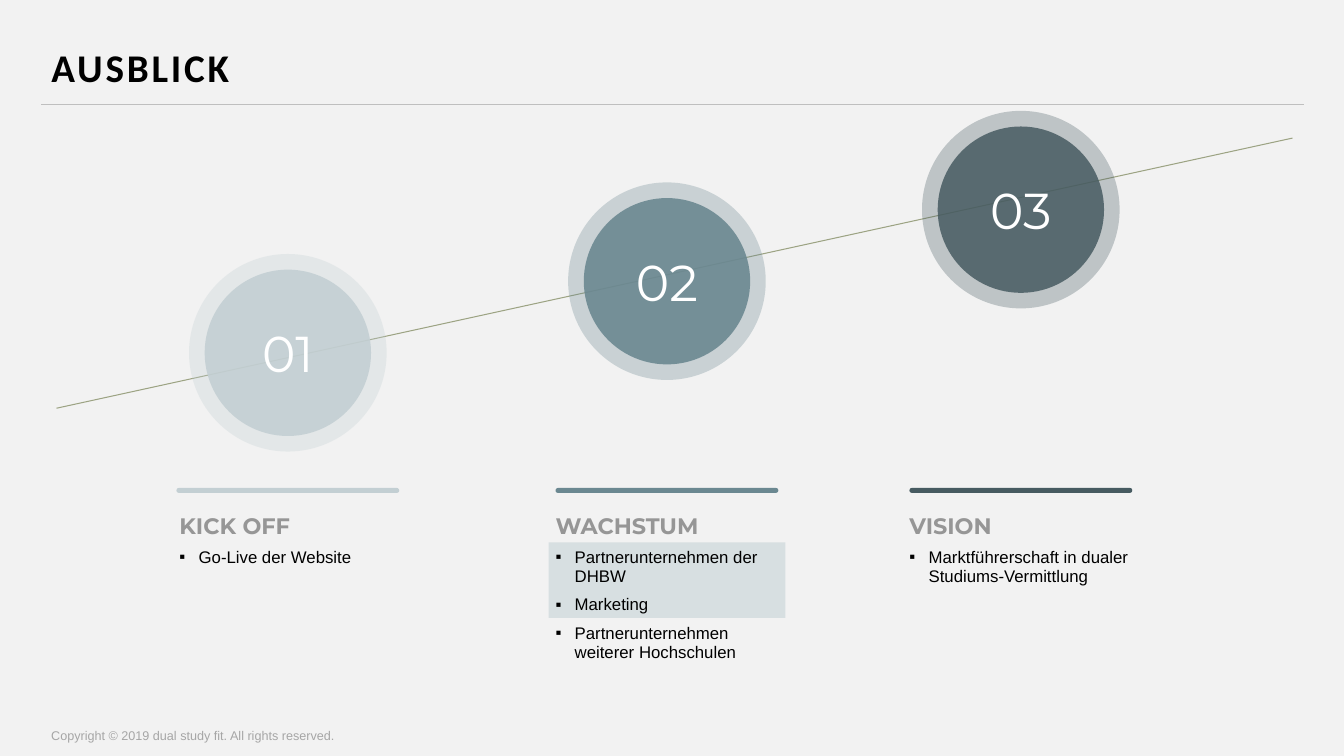
"""Builds the outlook slide with three rising milestones."""
import pptx
import pptx.dml.color
import pptx.enum.shapes
import pptx.enum.text
import pptx.oxml.ns
import pptx.util
from lxml import etree
from pptx.util import Inches

TITLE = "AUSBLICK"
COPYRIGHT = "Copyright © 2019 dual study fit. All rights reserved."
MILESTONES = [
    {"number": "01", "heading": "KICK OFF", "points": ["Go-Live der Website"],
     "color": "mist", "opacity": 90, "left": 1.75, "list_left": 1.78, "list_width": 2.28},
    {"number": "02", "heading": "WACHSTUM",
     "points": ["Partnerunternehmen der DHBW", "Marketing", "Partnerunternehmen weiterer Hochschulen"],
     "color": "teal", "opacity": 90, "left": 5.51, "list_left": 5.51, "list_width": 2.28},
    {"number": "03", "heading": "VISION", "points": ["Marktführerschaft in dualer Studiums-Vermittlung"],
     "color": "slate", "opacity": 85, "left": 9.02, "list_left": 9.02, "list_width": 2.21},
]
COLORS = {
    "background": "F2F2F2", "rule": "BFBFBF", "path": "9CA383", "highlight": "D7DFE1",
    "mist": "C3CFD3", "teal": "6B8891", "slate": "475B61",
    "black": "000000", "white": "FFFFFF", "heading": "969696", "footer": "A6A6A6",
}
BAR_TOP, BAR_WIDTH, BAR_HEIGHT = 4.84, 2.21, 0.05
RING_TOP, RING_RISE, RING_SIZE, DISC_SIZE = 2.52, 0.71, 1.96, 1.65
LIST_TOP, LIST_HEIGHT, BULLET_INDENT = 5.15, 1.75, 0.19

SHAPES = pptx.enum.shapes.MSO_SHAPE
ALIGN = pptx.enum.text.PP_ALIGN
ANCHOR = pptx.enum.text.MSO_ANCHOR


def rgb(name):
    """Return the named colour."""
    return pptx.dml.color.RGBColor.from_string(COLORS[name])


def write(paragraph, text, size, color, font="Arial", bold=False, align=ALIGN.LEFT, tracking=None):
    """Put formatted text into a paragraph."""
    paragraph.alignment = align
    run = paragraph.add_run()
    run.text = text
    run.font.size = pptx.util.Pt(size)
    run.font.name = font
    run.font.bold = bold
    run.font.color.rgb = rgb(color)
    if tracking:
        run.font._element.set("spc", str(tracking * 100))


def set_frame(frame, anchor, margins=(0.1, 0.05)):
    """Set wrapping, anchor and margins of a text frame."""
    frame.word_wrap = True
    frame.auto_size = pptx.enum.text.MSO_AUTO_SIZE.NONE
    frame.vertical_anchor = anchor
    frame.margin_left = frame.margin_right = Inches(margins[0])
    frame.margin_top = frame.margin_bottom = Inches(margins[1])


def place(shape, left, top, width, height):
    """Move and size a shape, in inches."""
    shape.left, shape.top = Inches(left), Inches(top)
    shape.width, shape.height = Inches(width), Inches(height)


def add_filled(slide, preset, box, color, opacity=100):
    """Add a borderless filled shape."""
    shape = slide.shapes.add_shape(preset, *map(Inches, box))
    shape.shadow.inherit = False
    shape.fill.solid()
    shape.fill.fore_color.rgb = rgb(color)
    shape.line.fill.background()
    if opacity < 100:
        tint = shape._element.spPr.find(".//" + pptx.oxml.ns.qn("a:srgbClr"))
        etree.SubElement(tint, pptx.oxml.ns.qn("a:alpha"), val=str(opacity * 1000))
    return shape


def add_line(slide, start, end, color):
    """Add a thin straight line."""
    line = slide.shapes.add_connector(
        pptx.enum.shapes.MSO_CONNECTOR.STRAIGHT, *map(Inches, start + end))
    line.line.color.rgb = rgb(color)
    line.line.width = pptx.util.Pt(0.75)
    etree.SubElement(line._element.spPr, pptx.oxml.ns.qn("a:effectLst"))


def set_bullet(paragraph, indent, char=None):
    """Set the indent and bullet of a paragraph."""
    properties = paragraph._p.get_or_add_pPr()
    properties.set("marL", str(Inches(indent)))
    properties.set("indent", str(-Inches(indent)))
    if char:
        etree.SubElement(properties, pptx.oxml.ns.qn("a:buFont"), typeface="Arial")
        etree.SubElement(properties, pptx.oxml.ns.qn("a:buChar"), char=char)
    else:
        etree.SubElement(properties, pptx.oxml.ns.qn("a:buNone"))


def fill_list(body, milestone):
    """Write a milestone's heading and points into a body placeholder."""
    place(body, milestone["list_left"], LIST_TOP, milestone["list_width"], LIST_HEIGHT)
    frame = body.text_frame
    set_frame(frame, ANCHOR.TOP, (0, 0))
    for index, text in enumerate([milestone["heading"]] + milestone["points"]):
        paragraph = frame.add_paragraph() if index else frame.paragraphs[0]
        paragraph.line_spacing = pptx.util.Pt(14)
        paragraph.space_before = pptx.util.Pt(3 if index else 0)
        paragraph.space_after = pptx.util.Pt(3)
        if index:
            set_bullet(paragraph, BULLET_INDENT, "▪")
            write(paragraph, text, 12, "black")
        else:
            set_bullet(paragraph, 0)
            write(paragraph, text, 16, "heading", font="Montserrat", bold=True)


def add_marker(slide, milestone, step):
    """Add a milestone's bar, ring and numbered disc."""
    left, color = milestone["left"], milestone["color"]
    bar = add_filled(slide, SHAPES.ROUNDED_RECTANGLE, (left, BAR_TOP, BAR_WIDTH, BAR_HEIGHT), color)
    bar.adjustments[0] = 0.5
    ring_left = left + (BAR_WIDTH - RING_SIZE) / 2
    ring_top = RING_TOP - step * RING_RISE
    inset = (RING_SIZE - DISC_SIZE) / 2
    add_filled(slide, SHAPES.OVAL, (ring_left, ring_top, RING_SIZE, RING_SIZE), color, 30)
    disc = add_filled(slide, SHAPES.OVAL, (ring_left + inset, ring_top + inset, DISC_SIZE, DISC_SIZE),
                      color, milestone["opacity"])
    set_frame(disc.text_frame, ANCHOR.MIDDLE, (0.24, 0.12))
    write(disc.text_frame.paragraphs[0], milestone["number"], 36, "white",
          font="Montserrat", align=ALIGN.CENTER)


def main():
    """Build and save the slide."""
    deck = pptx.Presentation()
    deck.slide_width, deck.slide_height = Inches(13.33), Inches(7.5)
    slide = deck.slides.add_slide(deck.slide_layouts.get_by_name("Comparison"))
    slide.background.fill.solid()
    slide.background.fill.fore_color.rgb = rgb("background")

    title, *bodies = slide.placeholders
    place(title, 0.41, 0.33, 9.82, 0.72)
    set_frame(title.text_frame, ANCHOR.MIDDLE)
    title.text_frame.paragraphs[0].line_spacing = 0.9
    write(title.text_frame.paragraphs[0], TITLE, 28, "black", font="Calibri", bold=True, tracking=2)

    highlight = add_filled(slide, SHAPES.RECTANGLE, (5.44, 5.38, 2.35, 0.75), "highlight")
    title._element.addprevious(highlight._element)
    add_line(slide, (0.41, 1.04), (12.93, 1.04), "rule")
    add_line(slide, (0.56, 4.05), (12.82, 1.37), "path")

    for step, (milestone, body) in enumerate(zip(MILESTONES, bodies)):
        add_marker(slide, milestone, step)
        fill_list(body, milestone)
    for unused in bodies[len(MILESTONES):]:
        unused._element.getparent().remove(unused._element)

    footer = slide.shapes.add_textbox(*map(Inches, (0.41, 7.17, 7.5, 0.25)))
    set_frame(footer.text_frame, ANCHOR.TOP)
    write(footer.text_frame.paragraphs[0], COPYRIGHT, 9, "footer")
    deck.save("out.pptx")


if __name__ == "__main__":
    main()
